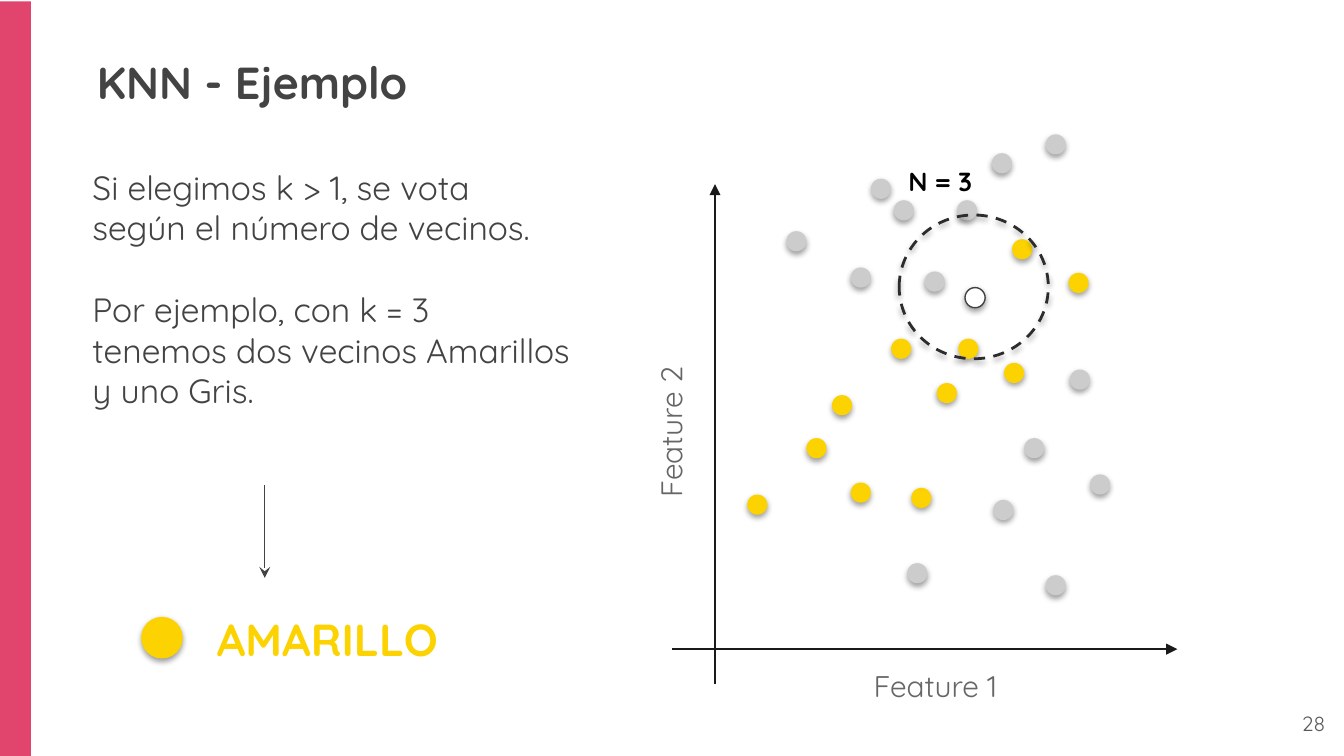
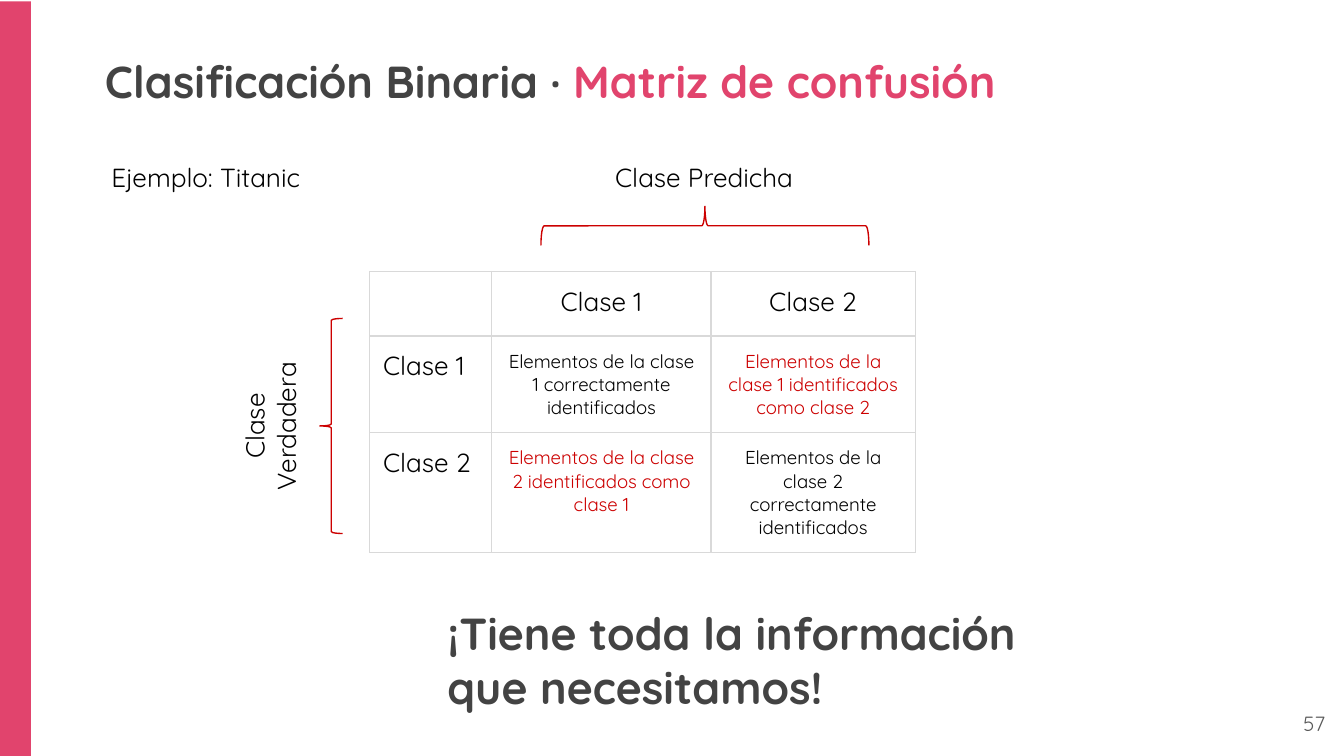
import pptx
import pptx.dml.color
import pptx.enum.dml
import pptx.enum.shapes
import pptx.enum.text
import pptx.oxml.ns
import pptx.util
from lxml import etree

Inches = pptx.util.Inches
Pt = pptx.util.Pt
qn = pptx.oxml.ns.qn
rgb = pptx.dml.color.RGBColor.from_string
MSO_SHAPE = pptx.enum.shapes.MSO_SHAPE
LEFT, CENTER, RIGHT = (pptx.enum.text.PP_ALIGN.LEFT, pptx.enum.text.PP_ALIGN.CENTER,
                       pptx.enum.text.PP_ALIGN.RIGHT)

FONT = "Quicksand"
PINK, YELLOW, GRAY, RED = "E1446D", "FCD300", "CCCCCC", "CC0000"
DARK, BLACK, WHITE, AXIS_LABEL = "434343", "000000", "FFFFFF", "666666"


def write_text(shape, box, text, size, colour, bold=False, align=LEFT, rotation=0, inset=0.1):
    """Place a text shape and fill it; each line of text is a paragraph."""
    shape.left, shape.top, shape.width, shape.height = [Inches(value) for value in box]
    shape.rotation = rotation
    frame = shape.text_frame
    frame.word_wrap = True
    frame.auto_size = pptx.enum.text.MSO_AUTO_SIZE.NONE
    frame.vertical_anchor = pptx.enum.text.MSO_ANCHOR.TOP
    frame.margin_left = frame.margin_right = Inches(0.1)
    frame.margin_top = frame.margin_bottom = Inches(inset)
    frame.text = text
    for index, paragraph in enumerate(frame.paragraphs):
        paragraph.alignment = align
        if index:
            paragraph.space_before = Pt(size * 1.25)
        for run in paragraph.runs:
            run.font.name, run.font.size, run.font.bold = FONT, Pt(size), bold
            run.font.color.rgb = rgb(colour)


def add_circle(shapes, left, top, width, height, fill=None, shadow=(38, 20000)):
    """Add an ellipse with a soft shadow below it: opacity in percent, distance in EMU."""
    circle = shapes.add_shape(MSO_SHAPE.OVAL, Inches(left), Inches(top),
                              Inches(width), Inches(height))
    if fill:
        circle.fill.solid()
        circle.fill.fore_color.rgb = rgb(fill)
    else:
        circle.fill.background()
    circle.line.fill.background()
    circle.shadow.inherit = False
    opacity, distance = shadow
    outer = etree.SubElement(circle.element.spPr.find(qn("a:effectLst")), qn("a:outerShdw"),
                             blurRad="40000", dist=str(distance), dir="5400000",
                             rotWithShape="0")
    colour = etree.SubElement(outer, qn("a:srgbClr"), val=BLACK)
    etree.SubElement(colour, qn("a:alpha"), val=str(opacity * 1000))
    return circle


# Widescreen, 16:9
presentation = pptx.Presentation()
presentation.slide_width = Inches(10)
presentation.slide_height = Inches(10) * 9 // 16
layout = presentation.slide_layouts[5]

# Titles and page numbers
headings = [
    ("KNN - Ejemplo", "", (0.62, 0.31, 8.62, 0.59), "28"),
    ("Clasificación Binaria · ", "Matriz de confusión", (0.68, 0.3, 8.97, 0.59), "57"),
]
for title, accent, box, number in headings:
    slide = presentation.slides.add_slide(layout)
    write_text(slide.shapes.title, box, title, 24, DARK, bold=True)
    if accent:
        run = slide.shapes.title.text_frame.paragraphs[0].add_run()
        run.text = accent
        run.font.name, run.font.size, run.font.bold = FONT, Pt(24), True
        run.font.color.rgb = rgb(PINK)
    write_text(slide.shapes.add_textbox(0, 0, 0, 0), (9.36, 5.19, 0.6, 0.43),
               number, 11, "595959", align=RIGHT)
knn_slide, matrix_slide = presentation.slides

# Side band, shared through the layout
band = knn_slide.shapes.add_shape(MSO_SHAPE.RECTANGLE, 0, Inches(0.01), Inches(0.23), Inches(5.62))
band.fill.solid()
band.fill.fore_color.rgb = rgb(PINK)
band.line.fill.background()
band.shadow.inherit = False
layout.shapes.element.insert(2, band.element)

# KNN: axes and the arrow to the result
arrows = [
    (5, 4.83, 8.76, 4.83, "1A1A1A", "triangle"),
    (5.32, 5.09, 5.32, 1.37, "1A1A1A", "triangle"),
    (1.97, 3.61, 1.97, 4.3, DARK, "stealth"),
]
for start_x, start_y, end_x, end_y, colour, head in arrows:
    arrow = knn_slide.shapes.add_connector(
        pptx.enum.shapes.MSO_CONNECTOR.STRAIGHT,
        Inches(start_x), Inches(start_y), Inches(end_x), Inches(end_y))
    arrow.line.color.rgb = rgb(colour)
    arrow.line.width = Pt(0.75)
    properties = arrow.element.spPr
    etree.SubElement(properties.find(qn("a:ln")), qn("a:tailEnd"), type=head)
    etree.SubElement(properties, qn("a:effectLst"))

# KNN: data points of both classes
points = {
    YELLOW: [(6.63, 2.52), (6.19, 2.94), (6.97, 2.85), (7.47, 2.7), (6.78, 3.63), (6, 3.26),
             (5.56, 3.68), (6.33, 3.59), (7.13, 2.52), (7.95, 2.03), (7.53, 1.78)],
    GRAY: [(7.96, 2.75), (6.75, 4.19), (7.62, 3.26), (7.78, 4.28), (8.11, 3.53), (7.39, 3.72),
           (7.12, 1.49), (6.88, 2.02), (6.48, 1.33), (6.65, 1.49), (5.85, 1.72), (6.33, 1.99),
           (7.38, 1.14), (7.78, 1)],
}
for colour, positions in points.items():
    for left, top in positions:
        add_circle(knn_slide.shapes, left, top, 0.15, 0.15, colour)
new_point = add_circle(knn_slide.shapes, 7.18, 2.14, 0.15, 0.15, WHITE)
new_point.line.color.rgb = rgb(DARK)
new_point.line.width = Pt(0.75)
add_circle(knn_slide.shapes, 1.05, 4.59, 0.31, 0.31, YELLOW)

# KNN: neighbourhood with its label
neighbourhood = knn_slide.shapes.add_group_shape()
boundary = add_circle(neighbourhood.shapes, 6.69, 1.6, 1.11, 1.07, shadow=(35, 23000))
boundary.line.color.rgb = rgb("2C2C2C")
boundary.line.width = Pt(1.5)
boundary.line.dash_style = pptx.enum.dml.MSO_LINE.DASH
write_text(neighbourhood.shapes.add_textbox(0, 0, 0, 0), (6.66, 1.18, 0.81, 0.34),
           "N = 3", 14, BLACK, bold=True, inset=0.05)

# Texts of both slides
texts = [
    (knn_slide, (0.59, 1.14, 3.76, 2.69),
     "Si elegimos k > 1, se vota según el número de vecinos.\n"
     "Por ejemplo, con k = 3 tenemos dos vecinos Amarillos y uno Gris.",
     18, DARK, False, LEFT, 0),
    (knn_slide, (5.2, 4.87, 3.52, 0.43), "Feature 1", 16, AXIS_LABEL, False, CENTER, 0),
    (knn_slide, (3.21, 3, 3.52, 0.43), "Feature 2", 16, AXIS_LABEL, False, CENTER, 270),
    (knn_slide, (1.36, 4.45, 2.15, 0.59), "AMARILLO", 24, YELLOW, True, CENTER, 0),
    (matrix_slide, (0.73, 1.1, 2.02, 0.49), "Ejemplo: Titanic", 14, BLACK, False, LEFT, 0),
    (matrix_slide, (4.23, 1.1, 2.02, 0.49), "Clase Predicha", 14, BLACK, False, CENTER, 0),
    (matrix_slide, (1.37, 2.71, 1.53, 0.92), "Clase Verdadera", 14, BLACK, False, CENTER, 270),
    (matrix_slide, (3.23, 4.41, 4.79, 0.59), "¡Tiene toda la información que necesitamos!",
     24, DARK, True, LEFT, 0),
]
for slide, box, text, size, colour, bold, align, rotation in texts:
    write_text(slide.shapes.add_textbox(0, 0, 0, 0), box, text, size, colour,
               bold, align, rotation)

# Confusion matrix: braces
for left, top, width, height, rotation in [(5.1, 0.46, 0.29, 2.44, 90), (2.38, 2.37, 0.17, 1.6, 0)]:
    brace = matrix_slide.shapes.add_shape(MSO_SHAPE.LEFT_BRACE, Inches(left), Inches(top),
                                          Inches(width), Inches(height))
    brace.rotation = rotation
    brace.fill.background()
    brace.line.color.rgb = rgb(RED)
    brace.line.width = Pt(0.75)
    brace.shadow.inherit = False

# Confusion matrix: table
matrix = [
    ["", "Clase 1", "Clase 2"],
    ["Clase 1", "Elementos de la clase 1 correctamente identificados",
     "Elementos de la clase 1 identificados como clase 2"],
    ["Clase 2", "Elementos de la clase 2 identificados como clase 1",
     "Elementos de la clase 2 correctamente identificados"],
]
column_widths = [0.91, 1.63, 1.52]
row_heights = [0.48, 0.72, 0.89]
table = matrix_slide.shapes.add_table(3, 3, Inches(2.75), Inches(2.02), Inches(sum(column_widths)),
                                      Inches(sum(row_heights))).table
table.first_row = table.horz_banding = False
for column, width in zip(table.columns, column_widths):
    column.width = Inches(width)
for row, height in zip(table.rows, row_heights):
    row.height = Inches(height)
for row_index, row_texts in enumerate(matrix):
    for column_index, text in enumerate(row_texts):
        cell = table.cell(row_index, column_index)
        cell.margin_left = cell.margin_right = cell.margin_top = cell.margin_bottom = Inches(0.1)
        cell.text = text
        is_label = row_index == 0 or column_index == 0
        is_error = not is_label and row_index != column_index
        paragraph = cell.text_frame.paragraphs[0]
        paragraph.alignment = CENTER if column_index else LEFT
        for run in paragraph.runs:
            run.font.name, run.font.size = FONT, Pt(14 if is_label else 10)
            run.font.color.rgb = rgb(RED if is_error else BLACK)
        if not text:
            etree.SubElement(paragraph._p, qn("a:endParaRPr"), sz="1400")
        cell_properties = cell._tc.get_or_add_tcPr()
        for side in ("a:lnL", "a:lnR", "a:lnT", "a:lnB"):
            border = etree.SubElement(cell_properties, qn(side), w=str(Pt(0.75)))
            border_fill = etree.SubElement(border, qn("a:solidFill"))
            etree.SubElement(border_fill, qn("a:srgbClr"), val="D9D9D9")
        cell.fill.background()

presentation.save("out.pptx")
